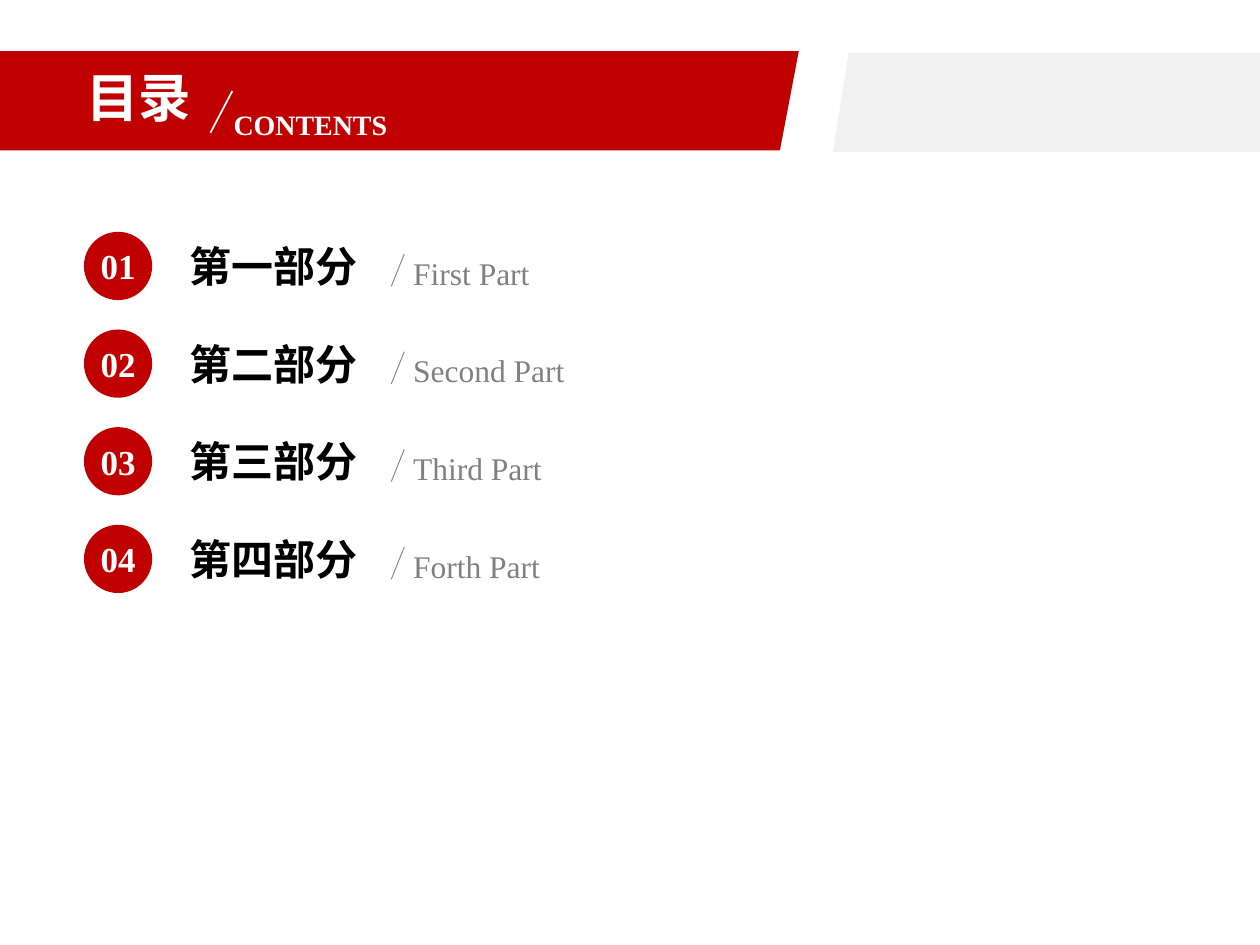
from lxml import etree
from pptx import Presentation
from pptx.dml.color import RGBColor
from pptx.enum import shapes, text
from pptx.oxml.ns import qn
from pptx.util import Pt

RED, GREY, PALE, WHITE, BLACK = "C00000", "808080", "F1F1F1", "FFFFFF", "000000"
SANS, SERIF = "Noto Sans CJK SC", "Times New Roman"
PITCH = 55.8
PARTS = [
    ("第一部分", "First Part"),
    ("第二部分", "Second Part"),
    ("第三部分", "Third Part"),
    ("第四部分", "Forth Part"),
]


def paint(fmt, tone):
    fmt.solid()
    fmt.fore_color.rgb = RGBColor.from_string(tone)


def place(shape, box):
    for name, size in zip(("left", "top", "width", "height"), box):
        setattr(shape, name, Pt(size))


def write(shape, words, font, size, tone, bold=True, align="LEFT"):
    frame = shape.text_frame
    form = {
        "word_wrap": True,
        "auto_size": text.MSO_AUTO_SIZE.NONE,
        "vertical_anchor": text.MSO_ANCHOR.MIDDLE,
    }
    for name, value in form.items():
        setattr(frame, name, value)
    para = frame.paragraphs[0]
    para.alignment = getattr(text.PP_ALIGN, align)
    run = para.add_run()
    run.text = words
    for name, value in {"name": font, "size": Pt(size), "bold": bold}.items():
        setattr(run.font, name, value)
    paint(run.font.fill, tone)
    east = etree.SubElement(run.font._element, qn("a:ea"))
    east.set("typeface", font)


def label(slide, box, *style, **more):
    write(slide.shapes.add_textbox(*map(Pt, box)), *style, **more)


def band(slide, points, tone):
    pen = slide.shapes.build_freeform(*map(Pt, points[0]))
    pen.add_line_segments([(Pt(x), Pt(y)) for x, y in points[1:]])
    shape = pen.convert_to_shape()
    shape.shadow.inherit = False
    paint(shape.fill, tone)
    shape.line.fill.background()


def slash(slide, ends, tone, width):
    line = slide.shapes.add_connector(shapes.MSO_CONNECTOR.STRAIGHT, *map(Pt, ends))
    paint(line.line.fill, tone)
    line.line.width = Pt(width)
    etree.SubElement(line.element.spPr, qn("a:effectLst"))


def badge(slide, box, words):
    disc = slide.shapes.add_shape(shapes.MSO_SHAPE.OVAL, *map(Pt, box))
    disc.shadow.inherit = False
    paint(disc.fill, RED)
    disc.line.fill.background()
    for side in ("left", "right", "top", "bottom"):
        setattr(disc.text_frame, "margin_" + side, 0)
    write(disc, words, SERIF, 20, WHITE, align="CENTER")


def header(slide):
    band(slide, [(0, 29.2), (456.5, 29.2), (445.7, 86), (0, 86)], RED)
    band(slide, [(485, 30.2), (720, 30.2), (720, 87), (476, 87)], PALE)
    title = slide.shapes.title
    place(title, (42, 33.4, 84.2, 43.6))
    write(title, "目录", SANS, 30, WHITE)
    title.element.getparent().append(title.element)
    slash(slide, (132.8, 52, 120.3, 75.8), WHITE, 1)
    label(slide, (126.4, 57.8, 125, 26.6), "CONTENTS", SERIF, 16, WHITE)


def row(slide, index, name, gloss):
    drop = index * PITCH
    badge(slide, (48, 132.5 + drop, 39, 39), f"{index + 1:02}")
    label(slide, (101.3, 133.8 + drop, 126, 36), name, SANS, 24, BLACK)
    slash(slide, (231, 145.2 + drop, 223.6, 163.6 + drop), GREY, 0.5)
    label(slide, (229, 141.2 + drop, 251.3, 29), gloss, SERIF, 18, GREY, bold=False)


def main():
    deck = Presentation()
    deck.slide_width, deck.slide_height = Pt(720), Pt(540)
    slide = deck.slides.add_slide(deck.slide_layouts[5])
    paint(slide.background.fill, WHITE)
    header(slide)
    for index, (name, gloss) in enumerate(PARTS):
        row(slide, index, name, gloss)
    deck.save("out.pptx")


if __name__ == "__main__":
    main()
